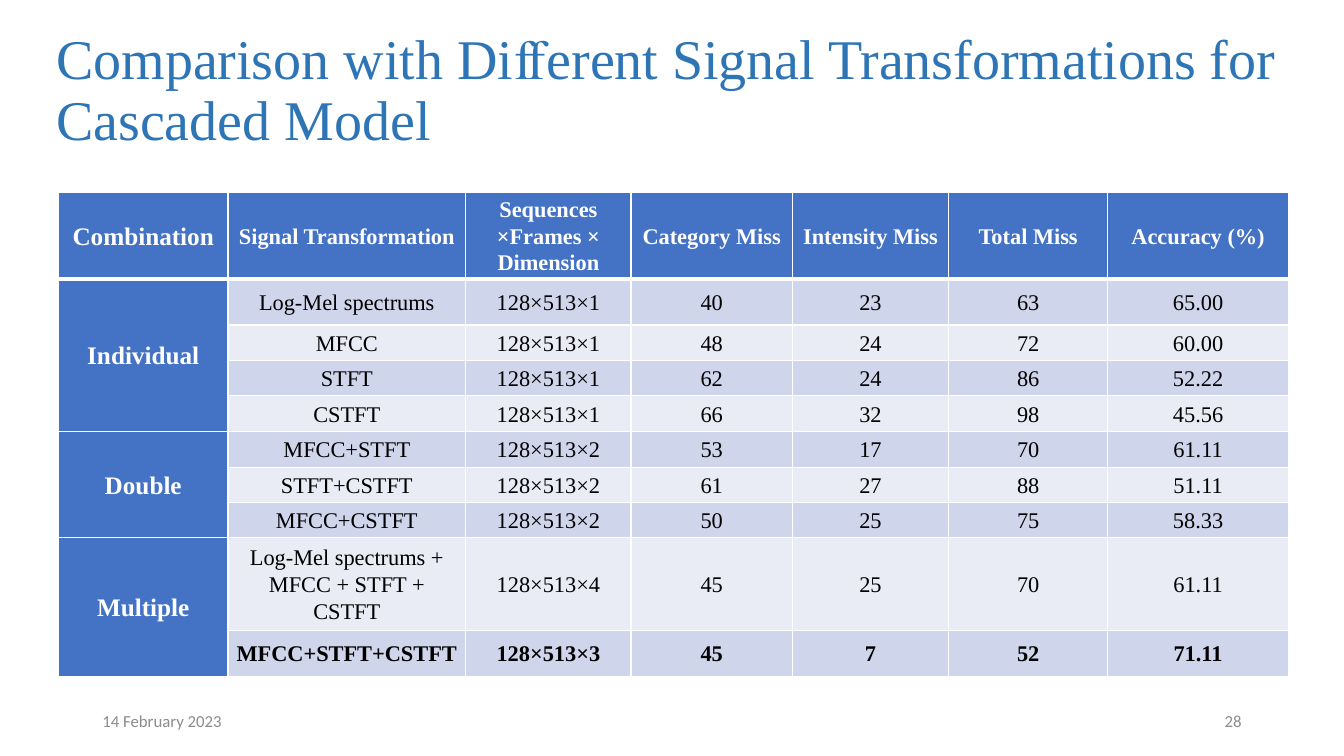
from lxml import etree
from pptx import Presentation
from pptx import util as u
from pptx.dml.color import RGBColor
from pptx.enum import text
from pptx.oxml.ns import qn

TITLE = "Comparison with Diﬀerent Signal Transformations for Cascaded Model"
DATE, PAGE = "14 February 2023", "28"
HEADER = ["Combination", "Signal Transformation", "Sequences\n×Frames ×\nDimension",
          "Category Miss", "Intensity Miss", "Total Miss", "Accuracy (%)"]
GROUPS = [
    ("Individual", [
        ("Log-Mel spectrums", "128×513×1", "40", "23", "63", "65.00"),
        ("MFCC", "128×513×1", "48", "24", "72", "60.00"),
        ("STFT", "128×513×1", "62", "24", "86", "52.22"),
        ("CSTFT", "128×513×1", "66", "32", "98", "45.56"),
    ]),
    ("Double", [
        ("MFCC+STFT", "128×513×2", "53", "17", "70", "61.11"),
        ("STFT+CSTFT", "128×513×2", "61", "27", "88", "51.11"),
        ("MFCC+CSTFT", "128×513×2", "50", "25", "75", "58.33"),
    ]),
    ("Multiple", [
        ("Log-Mel spectrums + MFCC + STFT + CSTFT", "128×513×4", "45", "25", "70", "61.11"),
        ("MFCC+STFT+CSTFT", "128×513×3", "45", "7", "52", "71.11"),
    ]),
]
COLS = [121, 169.9, 118.1, 115.2, 111.6, 113.8, 128.9]
ROWS = [49.7, 33.1, 25.2, 25.2, 25.9, 25.2, 25.2, 25.2, 66.2, 33.1]
COLORS = {"title": "2E75B6", "head": "4472C4", "odd": "CFD5EA", "even": "E9EBF5",
          "white": "FFFFFF", "black": "000000", "footer": "8C8C8C"}
SERIF, SANS = "Times New Roman", "Calibri"
ALIGN = text.PP_ALIGN


def write(p, words, size, font, color, bold=False, align=ALIGN.LEFT, spacing=1.0):
    p.alignment = align
    p.line_spacing = spacing
    for i, line in enumerate(words.split("\n")):
        if i:
            p.add_line_break()
        r = p.add_run()
        r.text = line
        r.font.size = u.Pt(size)
        r.font.name = font
        r.font.bold = bold
        r.font.color.rgb = RGBColor.from_string(COLORS[color])


def add_label(s, box, words, size, font, color, **style):
    tf = s.shapes.add_textbox(*map(u.Pt, box)).text_frame
    tf.word_wrap = True
    tf.vertical_anchor = text.MSO_ANCHOR.MIDDLE
    write(tf.paragraphs[0], words, size, font, color, **style)


def set_borders(cell, row):
    tc_pr = cell._tc.get_or_add_tcPr()
    thick = {0: "lnB", 1: "lnT"}.get(row)
    for side in ("lnL", "lnR", "lnT", "lnB"):
        width = 3 if side == thick else 1
        ln = etree.SubElement(tc_pr, qn("a:" + side), w=str(u.Pt(width)))
        fill = etree.SubElement(ln, qn("a:solidFill"))
        etree.SubElement(fill, qn("a:srgbClr"), val=COLORS["white"])


def fill_cell(cell, row, col, words, last):
    heading = row == 0 or col == 0
    set_borders(cell, row)
    shade = "head" if heading else "odd" if row % 2 else "even"
    cell.fill.solid()
    cell.fill.fore_color.rgb = RGBColor.from_string(COLORS[shade])
    cell.vertical_anchor = text.MSO_ANCHOR.MIDDLE
    cell.margin_left = cell.margin_right = u.Pt(5)
    cell.margin_top = cell.margin_bottom = 0
    if words:
        write(cell.text_frame.paragraphs[0], words, 16 if col else 18, SERIF,
              "white" if heading else "black", heading or row == last, ALIGN.CENTER, 1.07)


def add_results(s):
    grid = [HEADER]
    spans = []
    for name, results in GROUPS:
        spans.append((len(grid), len(grid) + len(results) - 1))
        grid += [[name if i == 0 else "", *result] for i, result in enumerate(results)]
    frame = s.shapes.add_table(len(ROWS), len(COLS), u.Pt(41.8), u.Pt(137.5),
                               u.Pt(sum(COLS)), u.Pt(sum(ROWS)))
    table = frame.table
    for column, width in zip(table.columns, COLS):
        column.width = u.Pt(width)
    for row, height in zip(table.rows, ROWS):
        row.height = u.Pt(height)
    for r, line in enumerate(grid):
        for c, words in enumerate(line):
            fill_cell(table.cell(r, c), r, c, words, len(grid) - 1)
    for first, final in spans:
        table.cell(first, 0).merge(table.cell(final, 0))


def main():
    prs = Presentation()
    prs.slide_width, prs.slide_height = u.Pt(960), u.Pt(540)
    s = prs.slides.add_slide(prs.slide_layouts[6])
    add_label(s, (33.1, 23, 910, 85), TITLE, 40, SERIF, "title", spacing=0.9)
    add_results(s)
    add_label(s, (66, 500.5, 216, 28.75), DATE, 12, SANS, "footer")
    add_label(s, (678, 500.5, 216, 28.75), PAGE, 12, SANS, "footer", align=ALIGN.RIGHT)
    prs.save("out.pptx")


if __name__ == "__main__":
    main()
